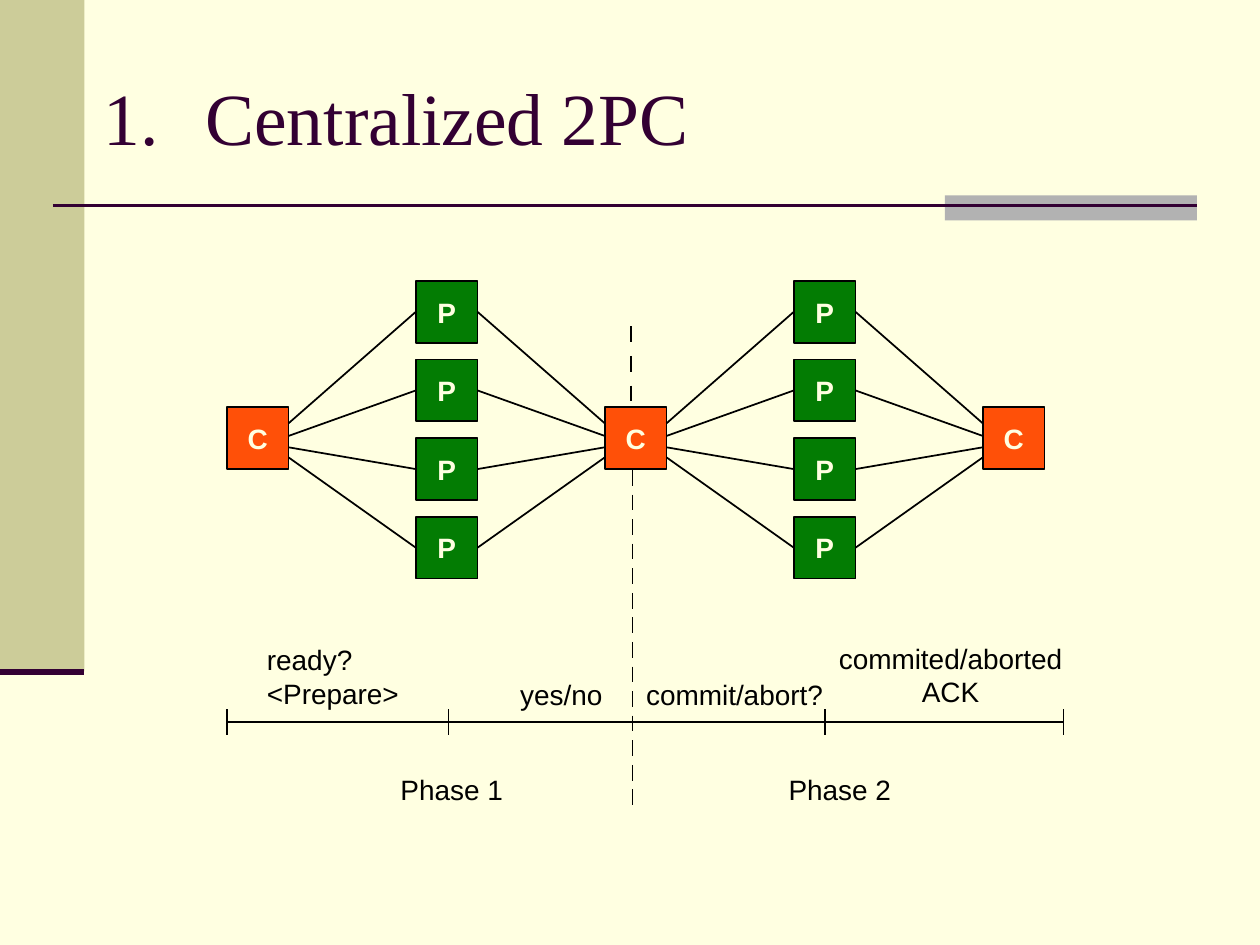
from lxml.etree import SubElement as Sub
from pptx import Presentation
from pptx.dml.color import RGBColor
from pptx.enum.shapes import MSO_CONNECTOR as Conn, MSO_SHAPE as Shape
from pptx.enum.text import MSO_ANCHOR as Anchor, PP_ALIGN as Align
from pptx.oxml.ns import qn
from pptx.util import Inches, Pt

HUES = {"page": "FFFFE1", "band": "CCCC99", "tab": "B2B2B2", "plum": "330033",
        "coord": "FF5008", "part": "037C03", "ink": "000000"}
TITLE = "Centralized 2PC"
LABELS = [
    (["ready?", "<Prepare>"], 2.02, 5.05, 1.25, Align.LEFT),
    (["yes/no"], 4.03, 5.33, 0.85, Align.LEFT),
    (["commit/abort?"], 5.03, 5.33, 1.6, Align.LEFT),
    (["commited/aborted", "ACK"], 6.56, 5.04, 1.97, Align.CENTER),
    (["Phase 1"], 3.08, 6.08, 1.01, Align.LEFT),
    (["Phase 2"], 6.16, 6.08, 1.01, Align.LEFT),
]
SIDE = 0.49
LEFT, STEP = 1.8, 3
COORD_Y, PART_Y, PITCH = 3.23, 2.23, 0.624
FAN = [0.13, 0.23, 0.32, 0.4]
AXIS_Y, TICK = 5.73, 0.1
TICKS = [1.8, 3.56, 6.55, 8.44]
DASH = 0.125
DASHES = [(5.01, 2.59, 0.235, 3), (5.02, 3.73, 0.195, 14)]

prs = Presentation()
prs.slide_width, prs.slide_height = Inches(10), Inches(7.5)
slide = prs.slides.add_slide(prs.slide_layouts[5])
shapes = slide.shapes


def hue(name):
    return RGBColor.from_string(HUES[name])


def style(para, size, face, color, bold=False):
    font = para.font
    font.size, font.name, font.bold = Pt(size), face, bold
    font.color.rgb = hue(color)


def rect(x, y, w, h, fill):
    box = shapes.add_shape(Shape.RECTANGLE, *map(Inches, (x, y, w, h)))
    box.shadow.inherit = False
    box.fill.solid()
    box.fill.fore_color.rgb = hue(fill)
    box.line.fill.background()
    return box


def line(x1, y1, x2, y2, color="ink", width=1):
    link = shapes.add_connector(Conn.STRAIGHT, *map(Inches, (x1, y1, x2, y2)))
    link.line.color.rgb = hue(color)
    link.line.width = Pt(width)
    Sub(link._element.spPr, qn("a:effectLst"))
    return link


def node(text, x, y, fill):
    box = rect(x, y, SIDE, SIDE, fill)
    box.line.color.rgb = hue("ink")
    box.line.width = Pt(1)
    frame = box.text_frame
    frame.margin_left = frame.margin_right = 0
    frame.margin_top = frame.margin_bottom = 0
    frame.vertical_anchor = Anchor.MIDDLE
    para = frame.paragraphs[0]
    para.text = text
    para.alignment = Align.CENTER
    style(para, 16, "Arial", "page", True)
    return box


def label(rows, x, y, w, align):
    high = 0.36 + 0.27 * (len(rows) - 1)
    box = shapes.add_textbox(*map(Inches, (x, y, w, high)))
    frame = box.text_frame
    frame.word_wrap = True
    frame.margin_left = Inches(0.1 if align == Align.LEFT else 0)
    frame.margin_right = 0
    frame.text = "\n".join(rows)
    for para in frame.paragraphs:
        para.alignment = align
        style(para, 16, "Arial", "ink")


def head():
    title = shapes.title
    title.left, title.top = Inches(0.72), Inches(0.54)
    title.width, title.height = Inches(5.64), Inches(0.76)
    frame = title.text_frame
    frame.vertical_anchor = Anchor.MIDDLE
    para = frame.paragraphs[0]
    para.text = TITLE
    para.alignment = Align.LEFT
    props = para._p.get_or_add_pPr()
    props.set("marL", str(Inches(0.81)))
    props.set("indent", str(Inches(-0.81)))
    Sub(Sub(props, qn("a:buClr")), qn("a:srgbClr"), val=HUES["plum"])
    Sub(props, qn("a:buFont"), typeface="Times New Roman")
    Sub(props, qn("a:buAutoNum"), type="arabicPeriod")
    style(para, 42, "Times New Roman", "plum")


def frame():
    back = slide.background.fill
    back.solid()
    back.fore_color.rgb = hue("page")
    rect(0, 0, 0.67, 5.33, "band")
    rect(7.5, 1.55, 2, 0.2, "tab")
    line(0.42, 1.63, 9.5, 1.63, "plum", 1.5)
    line(0, 5.33, 0.67, 5.33, "plum", 3.5)


def graph():
    for i in range(3):
        node("C", LEFT + i * STEP, COORD_Y, "coord")
    for i in range(2):
        x = LEFT + i * STEP
        mid = x + STEP / 2
        for j, drop in enumerate(FAN):
            y = PART_Y + j * PITCH
            part = node("P", mid, y, "part")
            hub, cy = COORD_Y + drop, y + SIDE / 2
            line(x + SIDE, hub, mid, cy).end_connect(part, 1)
            line(mid + SIDE, cy, x + STEP, hub).begin_connect(part, 3)


def axis():
    line(TICKS[0], AXIS_Y, TICKS[-1], AXIS_Y)
    for x in TICKS:
        line(x, AXIS_Y - TICK, x, AXIS_Y + TICK)
    for x, top, step, count in DASHES:
        for i in range(count):
            y = top + i * step
            line(x, y, x, y + DASH)


frame()
head()
graph()
axis()
for item in LABELS:
    label(*item)
prs.save("out.pptx")
